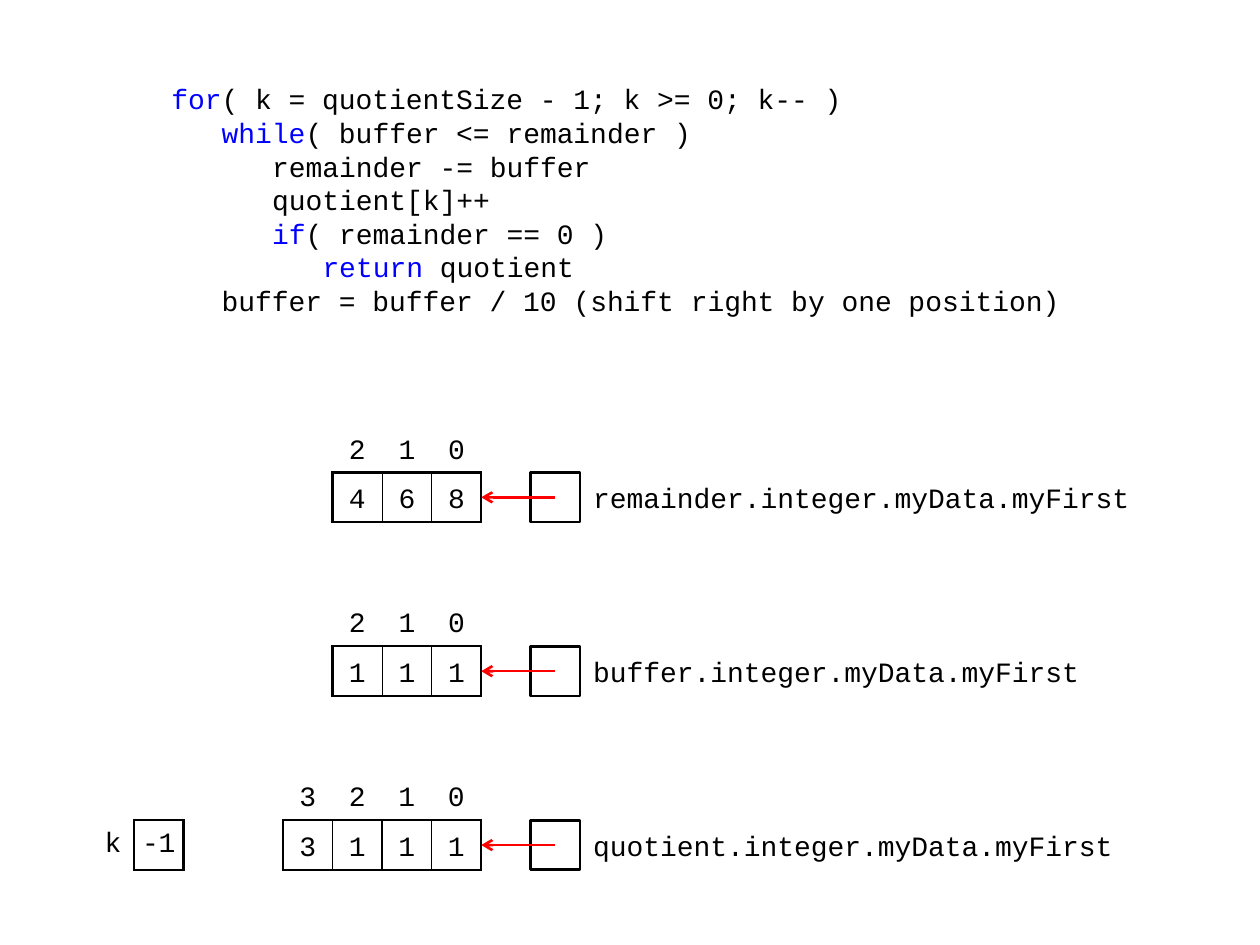
from lxml import etree
from pptx import Presentation
from pptx.dml.color import RGBColor
from pptx.enum.shapes import MSO_CONNECTOR, MSO_SHAPE
from pptx.enum.text import MSO_ANCHOR, MSO_AUTO_SIZE, PP_ALIGN
from pptx.oxml.ns import qn
from pptx.util import Inches, Pt

RECT = MSO_SHAPE.RECTANGLE
STRAIGHT = MSO_CONNECTOR.STRAIGHT
MIDDLE, TOP = MSO_ANCHOR.MIDDLE, MSO_ANCHOR.TOP
NO_FIT = MSO_AUTO_SIZE.NONE
LEFT, CENTER, RIGHT = PP_ALIGN.LEFT, PP_ALIGN.CENTER, PP_ALIGN.RIGHT

COLORS = {"text": "000000", "keyword": "0000FF", "arrow": "FF0000", "box": "FFFFFF"}
FONT = "Courier New"
CELL = 1 / 2.54
THICK, THIN = 1.5, 0.75
ARRAY_RIGHT, POINTER_LEFT = 3.82, 4.21
FIRST_TOP, PITCH = 3.75, 1.38

CODE = [  # indent level, keyword, rest of the line
    (0, "for", "( k = quotientSize - 1; k >= 0; k-- )"),
    (1, "while", "( buffer <= remainder )"),
    (2, "", "remainder -= buffer"),
    (2, "", "quotient[k]++"),
    (2, "if", "( remainder == 0 )"),
    (3, "return", " quotient"),
    (1, "", "buffer = buffer / 10 (shift right by one position)"),
]
ARRAYS = [("remainder", "468"), ("buffer", "111"), ("quotient", "3111")]


def rgb(name):
    """Return a named colour."""
    return RGBColor.from_string(COLORS[name])


def style(p, align=LEFT):
    """Apply the common font and alignment to a paragraph."""
    p.font.name = FONT
    p.font.size = Pt(16)
    p.font.color.rgb = rgb("text")
    p.alignment = align


def add_code(slide):
    """Fill the body placeholder with the indented, coloured code."""
    body = slide.placeholders[1]
    body.left, body.top = Inches(1.26), Inches(0.6)
    body.width, body.height = Inches(7.48), Inches(1.97)
    tf = body.text_frame
    tf.auto_size = NO_FIT
    tf.vertical_anchor = TOP
    for i, (level, keyword, rest) in enumerate(CODE):
        p = tf.add_paragraph() if i else tf.paragraphs[0]
        style(p)
        p.space_before = Pt(0)
        p.line_spacing = Pt(19.2)
        pPr = p._p.get_or_add_pPr()
        pPr.set("marL", str(Inches(0.4 * level)))
        pPr.set("indent", "0")
        bullet = etree.Element(qn("a:buNone"))
        pPr.find(qn("a:defRPr")).addprevious(bullet)
        if keyword:
            r = p.add_run()
            r.text = keyword
            r.font.color.rgb = rgb("keyword")
        p.add_run().text = rest


def set_borders(cell, widths):
    """Draw the given cell sides (L, R, T, B) and hide the others."""
    tcPr = cell._tc.get_or_add_tcPr()
    for i, side in enumerate("LRTB"):
        ln = etree.Element(qn("a:ln" + side))
        if side in widths:
            ln.set("w", str(Pt(widths[side])))
            fill = etree.SubElement(ln, qn("a:solidFill"))
            etree.SubElement(fill, qn("a:srgbClr"), val=COLORS["text"])
        else:
            etree.SubElement(ln, qn("a:noFill"))
        tcPr.insert(i, ln)


def add_grid(slide, left, top, rows, cols):
    """Add a plain table of square cells and return it."""
    frame = slide.shapes.add_table(rows, cols, Inches(left), Inches(top),
                                   Inches(CELL * cols), Inches(CELL * rows))
    table = frame.table
    table.first_row = table.horz_banding = False
    return table


def fill_cell(cell, text, borders, side, edge, align=CENTER, spacing=None):
    """Write one cell with its insets and borders."""
    cell.fill.background()
    cell.margin_left = cell.margin_right = Inches(side)
    cell.margin_top = cell.margin_bottom = Inches(edge)
    cell.vertical_anchor = MIDDLE
    p = cell.text_frame.paragraphs[0]
    p.text = text
    style(p, align)
    if spacing:
        p.line_spacing = spacing
    set_borders(cell, borders)


def add_array(slide, top, digits):
    """Add an array: falling indexes above a row of boxed digits."""
    n = len(digits)
    table = add_grid(slide, ARRAY_RIGHT - n * CELL, top - CELL, 2, n)
    for i, digit in enumerate(digits):
        borders = {"L": THIN if i else THICK, "R": THIN if i < n - 1 else THICK,
                   "T": THICK, "B": THICK}
        fill_cell(table.cell(0, i), str(n - 1 - i), {"B": THICK}, 0.1, 0.02, spacing=1.25)
        fill_cell(table.cell(1, i), digit, borders, 0.04, 0.02, spacing=1.25)


def add_counter(slide, top):
    """Add the variable k beside its boxed value."""
    table = add_grid(slide, 0.67, top, 1, 2)
    fill_cell(table.cell(0, 0), "k", {"R": THICK}, 0.1, 0.04, RIGHT)
    fill_cell(table.cell(0, 1), "-1", dict.fromkeys("LRTB", THICK), 0.04, 0.04)


def add_pointer(slide, top):
    """Add a pointer box with an arrow to its array."""
    sp = slide.shapes.add_shape(RECT, Inches(POINTER_LEFT), Inches(top),
                                Inches(CELL), Inches(CELL))
    sp.shadow.inherit = False
    sp.fill.solid()
    sp.fill.fore_color.rgb = rgb("box")
    sp.line.color.rgb = rgb("text")
    sp.line.width = Pt(THICK)
    y = Inches(top + CELL / 2)
    arrow = slide.shapes.add_connector(STRAIGHT, Inches(POINTER_LEFT + CELL / 2), y,
                                       Inches(ARRAY_RIGHT), y)
    arrow.line.color.rgb = rgb("arrow")
    arrow.line.width = Pt(THICK)
    etree.SubElement(arrow.line._get_or_add_ln(), qn("a:tailEnd"), type="arrow")
    etree.SubElement(arrow._element.spPr, qn("a:effectLst"))


def add_label(slide, top, text):
    """Add the member name to the right of a pointer box."""
    box = slide.shapes.add_textbox(Inches(4.61), Inches(top), Inches(4.53), Inches(CELL))
    tf = box.text_frame
    tf.word_wrap = True
    tf.vertical_anchor = MIDDLE
    tf.margin_left, tf.margin_right = Inches(0.1), Inches(0.08)
    tf.margin_top = tf.margin_bottom = 0
    p = tf.paragraphs[0]
    p.text = text
    style(p)


def main():
    """Build and save the slide."""
    prs = Presentation()
    prs.slide_width, prs.slide_height = Inches(10), Inches(7.5)
    slide = prs.slides.add_slide(prs.slide_layouts[1])
    title = slide.shapes.title._element
    title.getparent().remove(title)
    add_code(slide)
    for i, (name, digits) in enumerate(ARRAYS):
        top = FIRST_TOP + i * PITCH
        add_array(slide, top, digits)
        add_pointer(slide, top)
        add_label(slide, top, name + ".integer.myData.myFirst")
    add_counter(slide, FIRST_TOP + 2 * PITCH)
    prs.save("out.pptx")


main()
